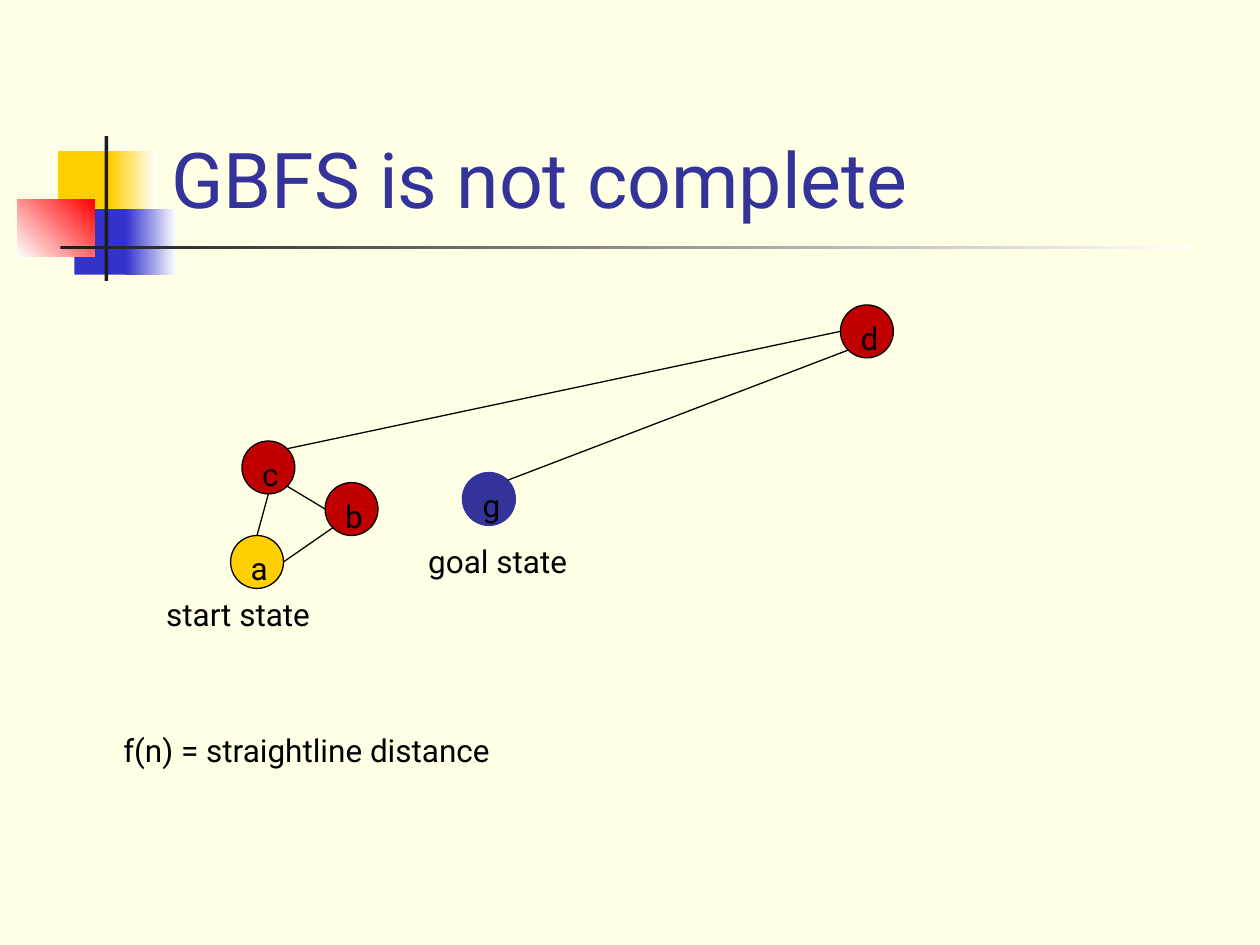
from dataclasses import dataclass
from math import cos, radians, sin

from lxml.etree import SubElement
from pptx import Presentation
from pptx.dml.color import RGBColor
from pptx.enum.shapes import MSO_CONNECTOR, MSO_SHAPE
from pptx.enum.text import MSO_ANCHOR, MSO_AUTO_SIZE, PP_ALIGN
from pptx.oxml.ns import qn
from pptx.util import Inches, Pt


@dataclass(frozen=True)
class Theme:
    font: str = "Roboto"
    title_size: int = 44
    text_size: int = 18
    line_width: float = 0.75
    background: str = "FFFFE5"
    black: str = "000000"
    white: str = "FFFFFF"
    navy: str = "333399"
    yellow: str = "FFCF01"
    blue: str = "3333CC"
    red: str = "FF0000"
    dark_red: str = "C00000"
    charcoal: str = "1C1C1C"


THEME = Theme()
DIAMETER = 0.42

# Node name: left, top, fill, outline
NODES = {
    "g": (3.67, 3.75, THEME.navy, THEME.navy),
    "c": (1.92, 3.5, THEME.dark_red, THEME.black),
    "b": (2.58, 3.83, THEME.dark_red, THEME.black),
    "a": (1.83, 4.25, THEME.yellow, THEME.black),
    "d": (6.67, 2.42, THEME.dark_red, THEME.black),
}

# Start node, angle on its rim, end node, angle on its rim (degrees, clockwise from right)
EDGES = [
    ("c", 90, "a", 270),
    ("c", 45, "b", 180),
    ("a", 0, "b", 135),
    ("c", 315, "d", 180),
    ("d", 135, "g", 315),
]

# Left, top, width, height, colours (two make a gradient), gradient angle
DECORATION = [
    (0.46, 1.2, 0.48, 0.52, [THEME.yellow], 0),
    (0.88, 1.2, 0.36, 0.52, [THEME.yellow, THEME.white], 0),
    (0.59, 1.66, 0.46, 0.52, [THEME.blue], 0),
    (1, 1.66, 0.4, 0.52, [THEME.blue, THEME.white], 0),
    (0.14, 1.58, 0.61, 0.46, [THEME.white, THEME.red], 45),
    (0.83, 1.08, 0.03, 1.15, [THEME.charcoal], 0),
    (0.48, 1.95, 9, 0.03, [THEME.charcoal, THEME.white], 0),
]

LABELS = [
    ("start state", 1.22, 4.67, 1.39),
    ("goal state", 3.3, 4.25, 1.35),
    ("f(n) = straightline distance", 0.88, 5.75, 3.25),
]


def rim_point(node, angle):
    left, top = NODES[node][:2]
    radius = DIAMETER / 2
    return (left + radius + radius * cos(radians(angle)),
            top + radius + radius * sin(radians(angle)))


class SlideBuilder:
    def __init__(self, slide, theme):
        self.slide = slide
        self.theme = theme
        background = slide.background.fill
        background.solid()
        background.fore_color.rgb = RGBColor.from_string(theme.background)

    def set_text(self, shape, text, size, color, **frame_format):
        frame = shape.text_frame
        frame.text = text
        for name, value in frame_format.items():
            setattr(frame, name, value)
        paragraph = frame.paragraphs[0]
        paragraph.alignment = PP_ALIGN.LEFT
        font = paragraph.runs[0].font
        for name, value in {"name": self.theme.font, "size": Pt(size)}.items():
            setattr(font, name, value)
        font.color.rgb = RGBColor.from_string(color)

    def title(self, text, left, top, width, height):
        title = self.slide.shapes.title
        box = {"left": left, "top": top, "width": width, "height": height}
        for name, value in box.items():
            setattr(title, name, Inches(value))
        self.set_text(title, text, self.theme.title_size, self.theme.navy,
                      vertical_anchor=MSO_ANCHOR.BOTTOM, word_wrap=True,
                      auto_size=MSO_AUTO_SIZE.NONE)

    def shape(self, kind, left, top, width, height, colors, angle=0):
        shape = self.slide.shapes.add_shape(
            kind, Inches(left), Inches(top), Inches(width), Inches(height))
        shape.shadow.inherit = False
        shape.line.fill.background()
        if len(colors) == 1:
            shape.fill.solid()
            shape.fill.fore_color.rgb = RGBColor.from_string(colors[0])
        else:
            shape.fill.gradient()
            shape.fill.gradient_angle = angle
            for stop, color in zip(shape.fill.gradient_stops, colors):
                stop.color.rgb = RGBColor.from_string(color)
        return shape

    def node(self, name, left, top, fill, outline):
        circle = self.shape(MSO_SHAPE.OVAL, left, top, DIAMETER, DIAMETER, [fill])
        circle.line.color.rgb = RGBColor.from_string(outline)
        circle.line.width = Pt(self.theme.line_width)
        self.set_text(circle, name, self.theme.text_size, self.theme.black,
                      vertical_anchor=MSO_ANCHOR.TOP)

    def edge(self, start, end):
        connector = self.slide.shapes.add_connector(
            MSO_CONNECTOR.STRAIGHT, *(Inches(value) for value in (*start, *end)))
        connector.line.color.rgb = RGBColor.from_string(self.theme.black)
        connector.line.width = Pt(self.theme.line_width)
        SubElement(connector.element.spPr, qn("a:effectLst"))

    def label(self, text, left, top, width):
        box = self.slide.shapes.add_textbox(
            Inches(left), Inches(top), Inches(width), Inches(0.4))
        self.set_text(box, text, self.theme.text_size, self.theme.black,
                      word_wrap=False, auto_size=MSO_AUTO_SIZE.SHAPE_TO_FIT_TEXT)


def main():
    presentation = Presentation()
    presentation.slide_width = Inches(10)
    presentation.slide_height = Inches(7.5)
    title_only = presentation.slide_layouts[5]
    builder = SlideBuilder(presentation.slides.add_slide(title_only), THEME)

    for *box, colors, angle in DECORATION:
        builder.shape(MSO_SHAPE.RECTANGLE, *box, colors, angle)
    builder.title("GBFS is not complete", 1.26, 0.23, 8.52, 1.6)
    for name, values in NODES.items():
        builder.node(name, *values)
    for start, start_angle, end, end_angle in EDGES:
        builder.edge(rim_point(start, start_angle), rim_point(end, end_angle))
    for label in LABELS:
        builder.label(*label)

    presentation.save("out.pptx")


if __name__ == "__main__":
    main()
